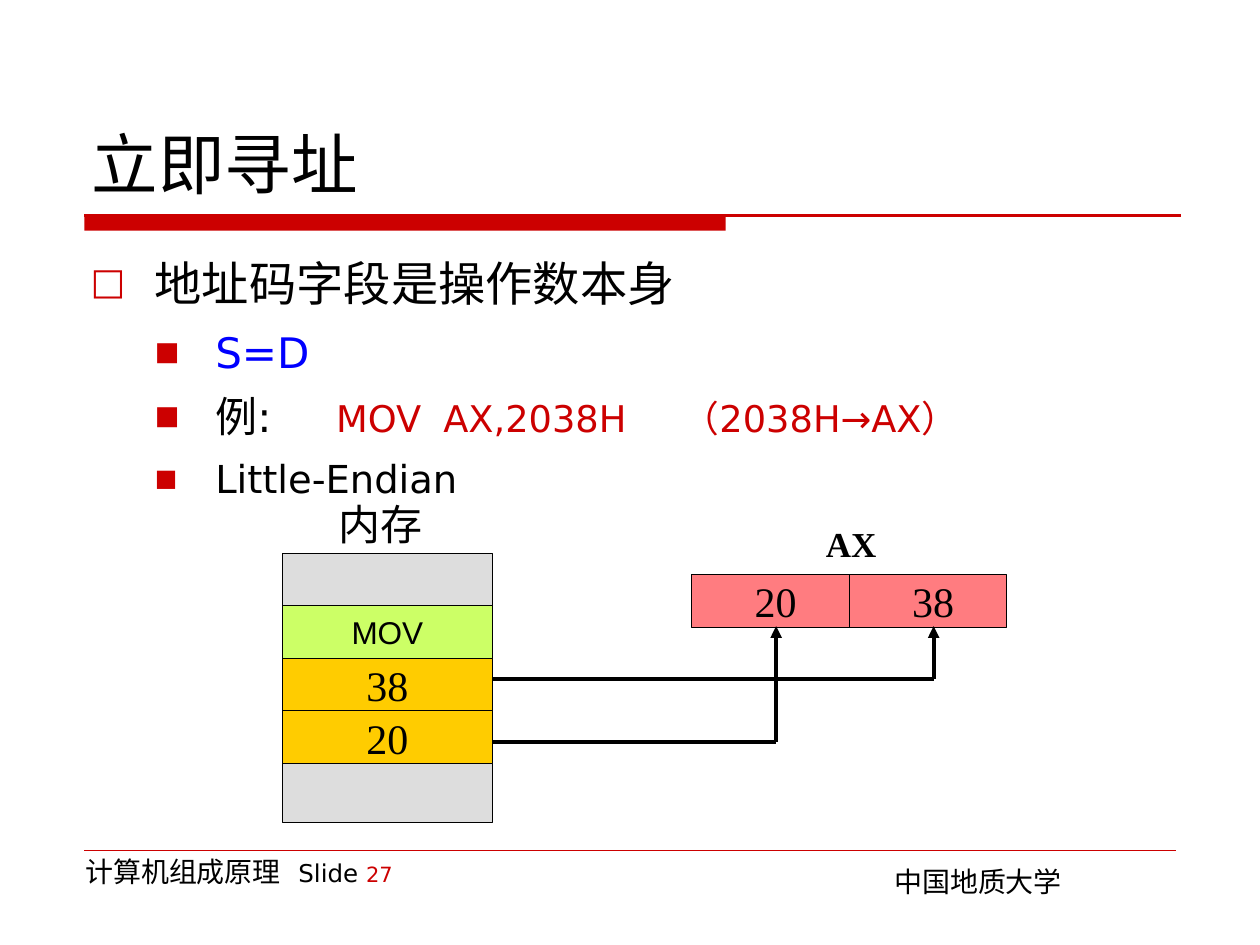
import pptx
import pptx.util
import pptx.dml.color
import pptx.enum.shapes
import pptx.enum.text
import pptx.oxml
import pptx.oxml.ns

Inches = pptx.util.Inches
Pt = pptx.util.Pt
RGBColor = pptx.dml.color.RGBColor
Align = pptx.enum.text.PP_ALIGN
Anchor = pptx.enum.text.MSO_ANCHOR

BLACK = RGBColor(0x00, 0x00, 0x00)
RED = RGBColor(0xCC, 0x00, 0x00)
BLUE = RGBColor(0x00, 0x00, 0xFF)
GREY = RGBColor(0xDD, 0xDD, 0xDD)
LIME = RGBColor(0xCC, 0xFF, 0x66)
GOLD = RGBColor(0xFF, 0xCC, 0x00)
PINK = RGBColor(0xFF, 0x7C, 0x80)

SANS = "DejaVu Sans"
HAN = "Noto Sans CJK JP"
SERIF = "Times New Roman"


def node(parent, tag, **attrs):
    item = pptx.oxml.parse_xml(
        f"<a:{tag} {pptx.oxml.ns.nsdecls('a')}/>")
    for key, value in attrs.items():
        item.set(key, str(value))
    parent.append(item)
    return item


def write(par, text, size=16, font=SANS, color=BLACK, bold=False):
    run = par.add_run()
    run.text = text
    run.font.size = Pt(size)
    run.font.name = font
    run.font.bold = bold
    run.font.color.rgb = color
    node(run._r.get_or_add_rPr(), "ea", typeface=HAN)


def set_tabs(par, stops):
    tabs = node(par._p.get_or_add_pPr(), "tabLst")
    for stop in stops:
        node(tabs, "tab", pos=Inches(stop), algn="l")


class Page:
    def __init__(self, slide):
        self.shapes = slide.shapes

    def style(self, shape, fill, edge=BLACK):
        shape.shadow.inherit = False
        shape.fill.solid()
        shape.fill.fore_color.rgb = fill
        if edge is None:
            shape.line.fill.background()
        else:
            shape.line.color.rgb = edge
            shape.line.width = Pt(0.75)

    def block(self, left, top, width, height, fill, edge=BLACK):
        shape = self.shapes.add_shape(
            pptx.enum.shapes.MSO_SHAPE.RECTANGLE,
            Inches(left), Inches(top), Inches(width), Inches(height))
        self.style(shape, fill, edge)
        return shape

    def label(self, shape, text, **form):
        frame = shape.text_frame
        frame.word_wrap = False
        frame.vertical_anchor = Anchor.MIDDLE
        par = frame.paragraphs[0]
        par.alignment = Align.CENTER
        write(par, text, **form)

    def frame(self, left, top, width, height, wrap=True):
        box = self.shapes.add_textbox(
            Inches(left), Inches(top), Inches(width), Inches(height))
        box.text_frame.word_wrap = wrap
        return box.text_frame

    def text(self, left, top, width, height, text, wrap=True,
             align=Align.LEFT, anchor=Anchor.TOP, **form):
        frame = self.frame(left, top, width, height, wrap)
        frame.vertical_anchor = anchor
        par = frame.paragraphs[0]
        par.alignment = align
        write(par, text, **form)
        return par

    def line(self, start, end, color=BLACK, width=2.25, arrow=False):
        link = self.shapes.add_connector(
            pptx.enum.shapes.MSO_CONNECTOR.STRAIGHT,
            *(Inches(value) for value in start + end))
        link.line.color.rgb = color
        link.line.width = Pt(width)
        if arrow:
            node(link.line._get_or_add_ln(), "tailEnd", type="triangle")
        node(link._element.spPr, "effectLst")

    def bullet(self, par, level, before, stops=()):
        par.level = level
        par.line_spacing = 1.1
        par.space_before = Pt(before)
        indent, hang, mark, scale = (
            (0.51, 0.51, "□", 78000), (0.99, 0.48, "■", 62000))[level]
        props = par._p.get_or_add_pPr()
        props.set("marL", str(Inches(indent)))
        props.set("indent", str(-Inches(hang)))
        node(node(props, "buClr"), "srgbClr", val=RED)
        node(props, "buSzPct", val=scale)
        node(props, "buFont", typeface=SANS)
        node(props, "buChar", char=mark)
        if stops:
            set_tabs(par, stops)


def main():
    deck = pptx.Presentation()
    deck.slide_width = Inches(10)
    deck.slide_height = Inches(7.5)
    page = Page(deck.slides.add_slide(deck.slide_layouts[6]))

    page.block(0.67, 1.71, 5.09, 0.12, RED, None)
    page.line((0.67, 1.71), (9.37, 1.71), RED, 1.25)
    page.line((0.67, 6.75), (9.33, 6.75), RED, 0.25)
    page.text(7, 6.81, 3, 0.52, "中国地质大学")
    foot = page.text(0.58, 6.73, 3, 0.52, "计算机组成原理")
    set_tabs(foot, [1.69])
    write(foot, "\tSlide ", size=14)
    write(foot, "27", size=12, color=RED)

    page.text(0.63, 0.33, 8.75, 1.33, "立即寻址",
              anchor=Anchor.BOTTOM, size=38, font=HAN)

    points = [
        (0, 0, (), [("地址码字段是操作数本身", 27, BLACK)]),
        (1, 6, (), [("S=D", 24, BLUE)]),
        (1, 5.2, (1.95, 2.8, 4.7),
         [("例:\t", 24, BLACK),
          ("MOV\tAX,2038H\t（2038H→AX）", 21, RED)]),
        (1, 5.5, (), [("Little-Endian", 22, BLACK)]),
    ]
    body = page.frame(0.62, 1.92, 8.75, 2.25)
    for index, (level, before, stops, parts) in enumerate(points):
        par = body.add_paragraph() if index else body.paragraphs[0]
        page.bullet(par, level, before, stops)
        for text, size, color in parts:
            write(par, text, size=size, color=color)

    step = 0.42
    cells = []
    for row, fill in enumerate((GREY, LIME, GOLD, GOLD, GREY)):
        height = 0.47 if row == 4 else step
        cells.append(page.block(2.24, 4.39 + row * 0.417, 1.67, height, fill))
    page.label(cells[1], "MOV", size=18, font="Arial")
    for cell, value in zip(cells[2:4], ("38", "20")):
        page.label(cell, value, size=24, font=SERIF)

    for col, value in enumerate(("20", "38")):
        shift = col * 1.25
        page.block(5.49 + shift, 4.56, 1.25, step, PINK)
        page.text(5.89 + shift, 4.52, 0.53, 0.5, value, wrap=False,
                  size=24, font=SERIF)

    for goal, level in ((6.16, 5.89), (7.41, 5.39)):
        page.line((3.91, level), (goal, level))
        page.line((goal, level), (goal, 4.97), arrow=True)

    page.text(2.52, 3.91, 1, 0.5, "内存", wrap=False,
              align=Align.CENTER, size=24, font=SERIF)
    page.text(6.45, 4.1, 0.61, 0.44, "AX", wrap=False,
              align=Align.CENTER, size=20, font=SERIF, bold=True)

    deck.save("out.pptx")


if __name__ == "__main__":
    main()
